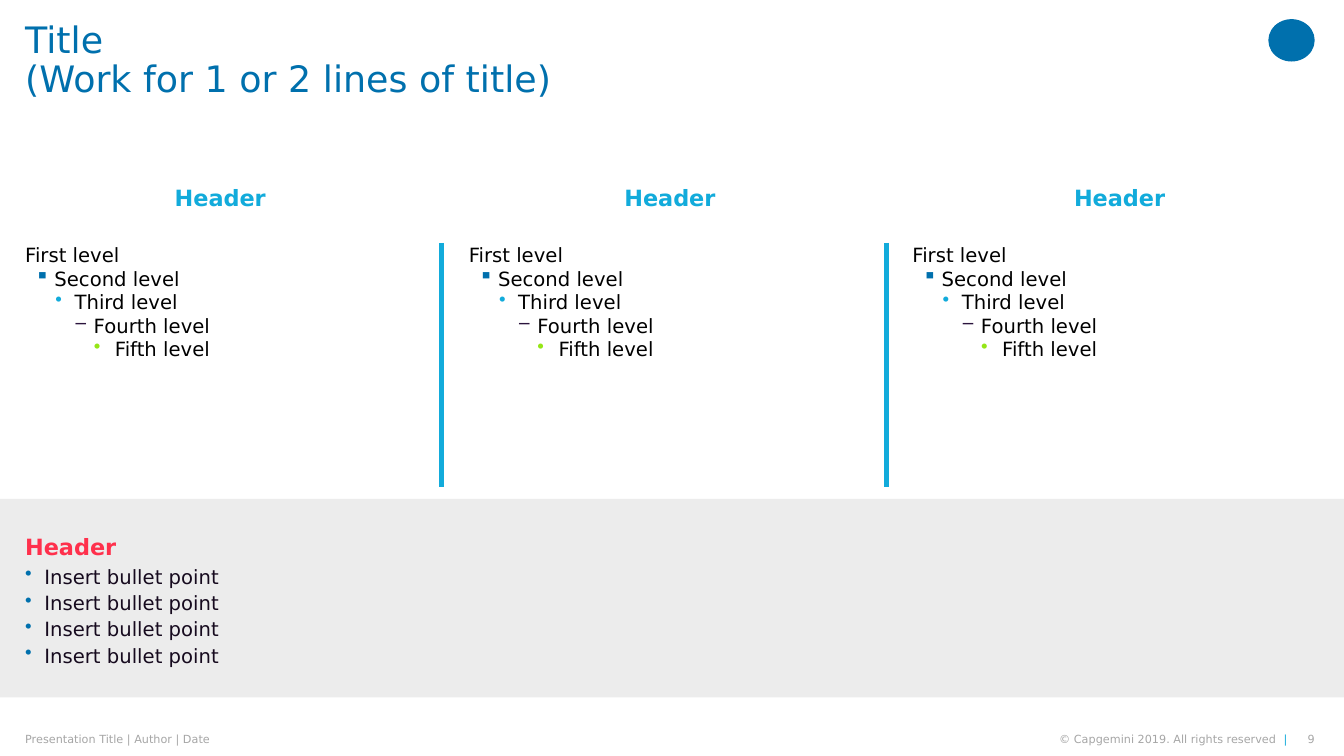
from lxml import etree
from pptx import Presentation, util as u
from pptx.dml.color import RGBColor
from pptx.enum import shapes, text
from pptx.oxml.ns import qn

WIDTH, HEIGHT = 13.33, 7.5
MARGIN = 0.25
FONT = "DejaVu Sans"
BLUE, CYAN, RED, GREY, BAND = "0070AD", "12ABDB", "FF304C", "A6A6A6", "ECECEC"
BLACK, INK = "000000", "160A1E"

TITLE = "Title\v(Work for 1 or 2 lines of title)"
COLUMN_HEADERS = ["Header", "Header", "Header"]
# text, bullet, bullet colour, left margin, hanging indent
LEVELS = [
    ("First level", None, None, 0, 0),
    ("Second level", "▪", BLUE, 0.29, 0.19),
    ("Third level", "•", CYAN, 0.49, 0.19),
    ("Fourth level", "‒", "2B143D", 0.68, 0.19),
    ("Fifth level", "•", "95E616", 0.89, 0.21),
]
BAND_HEADER = "Header"
BAND_POINTS = [("Insert bullet point", "•", BLUE, 0.19, 0.19)] * 4
FOOTER = "Presentation Title | Author | Date"
COPYRIGHT = "© Capgemini 2019. All rights reserved  "
PAGE = "9"

# Grid: three columns; headers and dividers step slightly wider than the bodies
COLUMN_W, BODY_STEP, HEADER_STEP, DIVIDER_STEP = 3.87, 4.4, 4.46, 4.41
HEADER_Y, HEADER_H = 1.55, 0.81
BODY_Y, BODY_H = 2.41, 2.42
DIVIDER_X = 4.38
BAND_Y, BAND_H = 0.66 * HEIGHT, 1.97
BAND_TEXT_W = WIDTH - 2 * MARGIN + 0.03
FOOTER_Y, FOOTER_H = 7.27, 0.13

MIDDLE, BOTTOM = text.MSO_ANCHOR.MIDDLE, text.MSO_ANCHOR.BOTTOM
CENTER, RIGHT = text.PP_ALIGN.CENTER, text.PP_ALIGN.RIGHT


def rgb(color):
    return RGBColor.from_string(color)


def box(s, area):
    sp = s.shapes.add_textbox(*map(u.Inches, area))
    tf = sp.text_frame
    tf.word_wrap = True
    tf.margin_left = tf.margin_right = tf.margin_top = tf.margin_bottom = 0
    return tf


def style(p, size, color, bold=False):
    for r in p.runs:
        r.font.name, r.font.size, r.font.bold = FONT, u.Pt(size), bold
        r.font.color.rgb = rgb(color)


def label(s, area, content, size, color, bold=False, align=None, anchor=MIDDLE):
    tf = box(s, area)
    tf.vertical_anchor = anchor
    p = tf.paragraphs[0]
    p.text = content
    p.alignment = align
    style(p, size, color, bold)
    return p


def add_bullet(p, char, color, left, hang):
    pPr = p._p.get_or_add_pPr()
    pPr.set("marL", str(u.Inches(left)))
    pPr.set("indent", str(-u.Inches(hang)))
    clr = etree.SubElement(pPr, qn("a:buClr"))
    etree.SubElement(clr, qn("a:srgbClr")).set("val", color)
    etree.SubElement(pPr, qn("a:buChar")).set("char", char)


def bullet_list(s, area, items, color, gap=0, nested=False):
    tf = box(s, area)
    for i, (content, char, char_color, left, hang) in enumerate(items):
        p = tf.add_paragraph() if i else tf.paragraphs[0]
        p.text = content
        if nested:
            p.level = i
        if char:
            add_bullet(p, char, char_color, left, hang)
        if i:
            p.space_before = u.Pt(gap)
        style(p, 14, color)


def plain_shape(s, kind, area, color):
    sp = s.shapes.add_shape(kind, *map(u.Inches, area))
    sp.shadow.inherit = False
    sp.fill.solid()
    sp.fill.fore_color.rgb = rgb(color)
    sp.line.fill.background()


def divider(s, x):
    line = s.shapes.add_connector(
        shapes.MSO_CONNECTOR.STRAIGHT,
        *map(u.Inches, (x, BODY_Y, x, BODY_Y + BODY_H)))
    line.line.color.rgb = rgb(CYAN)
    line.line.width = u.Pt(3.75)
    etree.SubElement(line._element.spPr, qn("a:effectLst"))


def main():
    prs = Presentation()
    prs.slide_width, prs.slide_height = u.Inches(WIDTH), u.Inches(HEIGHT)
    s = prs.slides.add_slide(prs.slide_layouts[6])

    plain_shape(s, shapes.MSO_SHAPE.OVAL, (12.58, 0.19, 0.46, 0.42), BLUE)
    label(s, (12.85, FOOTER_Y, 0.19, FOOTER_H), PAGE, 8, GREY, align=RIGHT)
    p = label(s, (9.86, FOOTER_Y, 2.91, FOOTER_H), COPYRIGHT, 8, GREY, align=RIGHT)
    r = p.add_run()
    r.text = "|"
    style(p, 8, GREY)
    r.font.color.rgb = rgb(CYAN)
    label(s, (MARGIN, FOOTER_Y, 5.16, FOOTER_H), FOOTER, 8, GREY)

    p = label(s, (MARGIN, 0, 12.17, 1.21), TITLE, 26, BLUE)
    p.line_spacing = 0.9

    for i, header in enumerate(COLUMN_HEADERS):
        bullet_list(s, (MARGIN + i * BODY_STEP, BODY_Y, COLUMN_W, BODY_H),
                    LEVELS, BLACK, nested=True)
        label(s, (MARGIN + i * HEADER_STEP, HEADER_Y, COLUMN_W, HEADER_H),
              header, 16, CYAN, True, CENTER)
    for i in range(len(COLUMN_HEADERS) - 1):
        divider(s, DIVIDER_X + i * DIVIDER_STEP)

    plain_shape(s, shapes.MSO_SHAPE.RECTANGLE, (0, BAND_Y, WIDTH, BAND_H), BAND)
    bullet_list(s, (MARGIN, 5.6, BAND_TEXT_W, 1.16), BAND_POINTS, INK, gap=2)
    label(s, (MARGIN, 5.1, BAND_TEXT_W, 0.46), BAND_HEADER, 16, RED, True,
          anchor=BOTTOM)

    prs.save("out.pptx")


if __name__ == "__main__":
    main()
